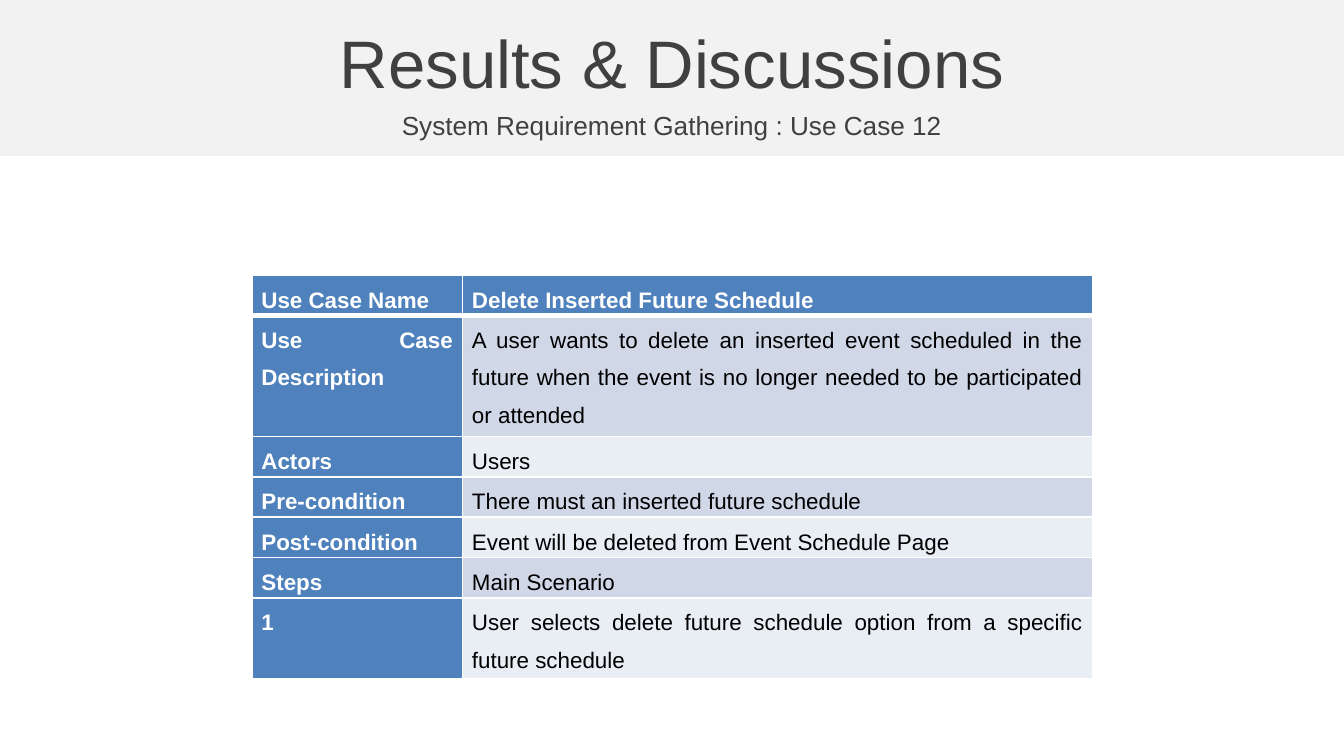
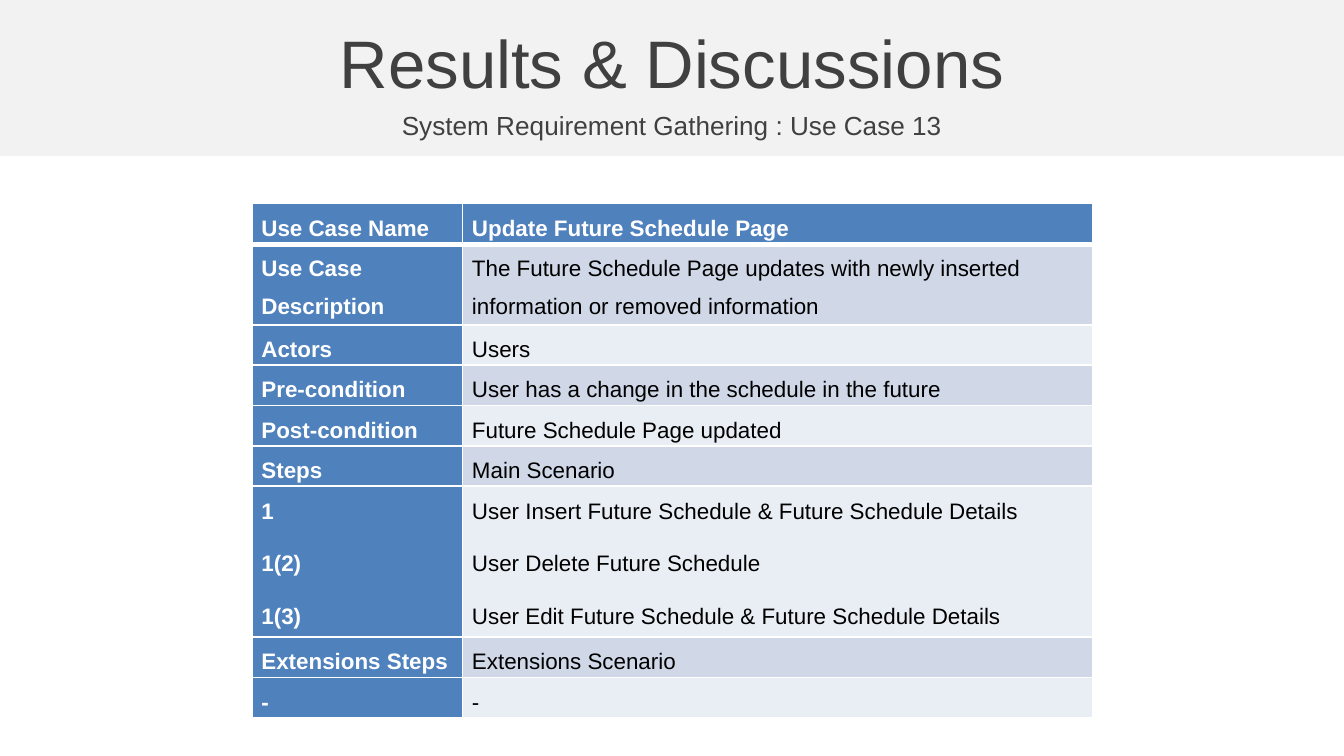
from dataclasses import dataclass

from lxml import etree
from pptx import Presentation
from pptx.dml.color import RGBColor
from pptx.enum.shapes import MSO_SHAPE
from pptx.enum.text import MSO_ANCHOR, PP_ALIGN
from pptx.oxml.ns import qn
from pptx.slide import Slide
from pptx.table import _Cell
from pptx.util import Cm, Pt

RECT = MSO_SHAPE.RECTANGLE
MIDDLE = MSO_ANCHOR.MIDDLE
LEFT, CENTER, JUSTIFY = PP_ALIGN.LEFT, PP_ALIGN.CENTER, PP_ALIGN.JUSTIFY


@dataclass(frozen=True)
class Theme:
    font: str = "Arial"
    band: str = "F2F2F2"
    heading: str = "404040"
    accent: str = "4F81BD"
    stripes: tuple[str, str] = ("E9EDF4", "D0D8E8")
    light: str = "FFFFFF"
    dark: str = "000000"
    title_size: int = 36
    subtitle_size: int = 14
    table_size: int = 12
    border: int = 1
    header_border: int = 3
    line_spacing: float = 1.5
    space_after: int = 8


@dataclass(frozen=True)
class Row:
    label: str
    text: str
    lines: int = 1  # lines of text at the table's column widths


@dataclass(frozen=True)
class UseCase:
    number: int
    top: float
    align: PP_ALIGN
    rows: tuple[Row, ...]


THEME = Theme()

# Measures in centimetres
SLIDE_W, SLIDE_H = 25.4, 14.29
BAND_H = 2.95
TABLE_LEFT = 4.76
COLUMNS = (3.98, 11.91)
LINE_H = 0.7
PARAGRAPH_GAP = 0.28
CELL_INSET = 0.18

USE_CASES = (
    UseCase(12, 5.2, JUSTIFY, (
        Row("Use Case Name", "Delete Inserted Future Schedule"),
        Row("Use Case Description",
            "A user wants to delete an inserted event scheduled in the future when "
            "the event is no longer needed to be participated or attended", 3),
        Row("Actors", "Users"),
        Row("Pre-condition", "There must an inserted future schedule"),
        Row("Post-condition", "Event will be deleted from Event Schedule Page"),
        Row("Steps", "Main Scenario"),
        Row("1", "User selects delete future schedule option from a specific "
            "future schedule", 2),
    )),
    UseCase(13, 3.85, LEFT, (
        Row("Use Case Name", "Update Future Schedule Page"),
        Row("Use Case Description",
            "The Future Schedule Page updates with newly inserted information "
            "or removed information", 2),
        Row("Actors", "Users"),
        Row("Pre-condition", "User has a change in the schedule in the future"),
        Row("Post-condition", "Future Schedule Page updated"),
        Row("Steps", "Main Scenario"),
        Row("1\n1(2)\n1(3)",
            "User Insert Future Schedule & Future Schedule Details\n"
            "User Delete Future Schedule\n"
            "User Edit Future Schedule & Future Schedule Details", 3),
        Row("Extensions Steps", "Extensions Scenario"),
        Row("-", "-"),
    )),
)


def set_font(p, size: int, color: str, bold: bool = False) -> None:
    for r in p.runs:
        for name, value in {"name": THEME.font, "size": Pt(size), "bold": bold}.items():
            setattr(r.font, name, value)
        r.font.color.rgb = RGBColor.from_string(color)


def add_heading(s: Slide, text: str, top: float, height: float, size: int) -> None:
    tf = s.shapes.add_textbox(0, Cm(top), Cm(SLIDE_W), Cm(height)).text_frame
    frame = {"word_wrap": True, "vertical_anchor": MIDDLE,
             "margin_top": 0, "margin_bottom": 0}
    for name, value in frame.items():
        setattr(tf, name, value)
    p = tf.paragraphs[0]
    p.text, p.alignment = text, CENTER
    set_font(p, size, THEME.heading)


def add_header(s: Slide, subtitle: str) -> None:
    sp = s.shapes.add_shape(RECT, 0, 0, Cm(SLIDE_W), Cm(BAND_H))
    sp.shadow.inherit = False
    sp.fill.solid()
    sp.fill.fore_color.rgb = RGBColor.from_string(THEME.band)
    sp.line.fill.background()
    add_heading(s, "Results & Discussions", 0.36, 1.6, THEME.title_size)
    add_heading(s, subtitle, 1.96, 0.8, THEME.subtitle_size)


def set_borders(cell: _Cell, top: int, bottom: int) -> None:
    tc_pr = cell._tc.get_or_add_tcPr()
    widths = {"L": THEME.border, "R": THEME.border, "T": top, "B": bottom}
    for side, width in widths.items():
        ln = etree.SubElement(tc_pr, qn(f"a:ln{side}"), w=str(Pt(width)))
        fill = etree.SubElement(ln, qn("a:solidFill"))
        etree.SubElement(fill, qn("a:srgbClr"), val=THEME.light)


def fill_cell(cell: _Cell, text: str, i: int, j: int, align: PP_ALIGN) -> None:
    strong = i == 0 or j == 0
    set_borders(cell,
                THEME.header_border if i == 1 else THEME.border,
                THEME.header_border if i == 0 else THEME.border)
    cell.fill.solid()
    cell.fill.fore_color.rgb = RGBColor.from_string(
        THEME.accent if strong else THEME.stripes[i % 2])
    margins = {"margin_left": Cm(CELL_INSET), "margin_right": Cm(CELL_INSET),
               "margin_top": 0, "margin_bottom": 0}
    for name, value in margins.items():
        setattr(cell, name, value)
    cell.text = text
    layout = {"alignment": align, "line_spacing": THEME.line_spacing,
              "space_after": Pt(THEME.space_after)}
    for p in cell.text_frame.paragraphs:
        for name, value in layout.items():
            setattr(p, name, value)
        set_font(p, THEME.table_size, THEME.light if strong else THEME.dark, strong)


def add_use_case_table(s: Slide, case: UseCase) -> None:
    heights = [row.lines * LINE_H + row.text.count("\n") * PARAGRAPH_GAP
               for row in case.rows]
    table = s.shapes.add_table(
        len(case.rows), len(COLUMNS), Cm(TABLE_LEFT), Cm(case.top),
        Cm(sum(COLUMNS)), Cm(sum(heights))).table
    table.first_col = True
    for column, width in zip(table.columns, COLUMNS):
        column.width = Cm(width)
    for i, (row, height) in enumerate(zip(case.rows, heights)):
        table.rows[i].height = Cm(height)
        for j, text in enumerate((row.label, row.text)):
            fill_cell(table.cell(i, j), text, i, j, case.align)


def main() -> None:
    prs = Presentation()
    prs.slide_width, prs.slide_height = Cm(SLIDE_W), Cm(SLIDE_H)
    blank = prs.slide_layouts[6]
    # One slide per use case
    for case in USE_CASES:
        s = prs.slides.add_slide(blank)
        add_header(s, f"System Requirement Gathering : Use Case {case.number}")
        add_use_case_table(s, case)
    prs.save("out.pptx")


if __name__ == "__main__":
    main()
